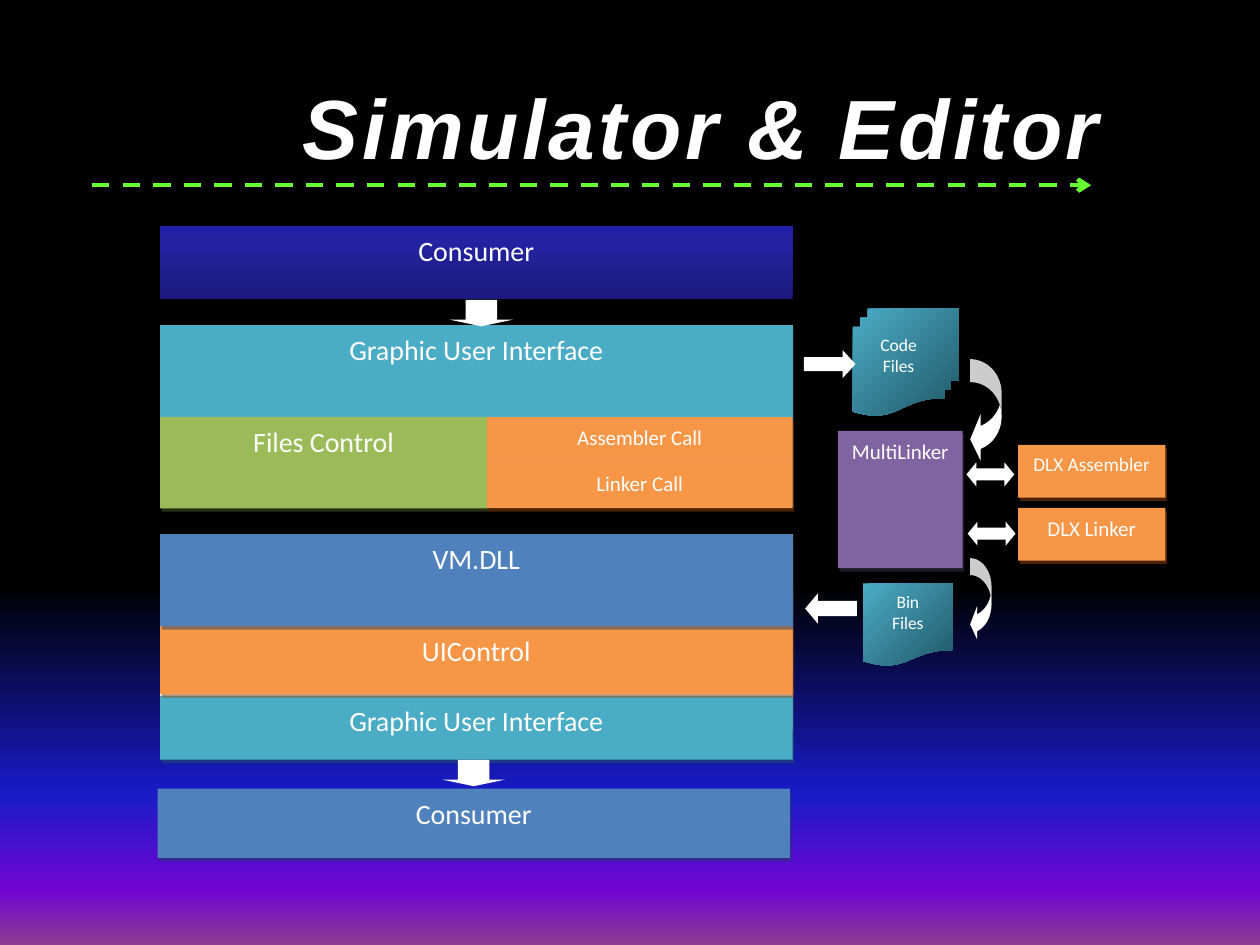
from dataclasses import dataclass

from lxml.etree import SubElement
from pptx import Presentation
from pptx.dml.color import RGBColor
from pptx.enum.dml import MSO_LINE_DASH_STYLE as Dash
from pptx.enum.shapes import MSO_CONNECTOR as Connector, MSO_SHAPE as Shape
from pptx.enum.text import MSO_ANCHOR as Anchor, PP_ALIGN as Align
from pptx.oxml.ns import qn
from pptx.util import Inches, Pt


@dataclass(frozen=True)
class Theme:
    white: str = "FFFFFF"
    green: str = "66FF33"
    teal: tuple = ("4BACC6", "205867")
    olive: tuple = ("9BBB59", "4E6128")
    orange: tuple = ("F79646", "974706")
    purple: tuple = ("8064A2", "3F3151")
    blue: tuple = ("4F81BD", "243F60")
    navy_stops: tuple = ((0, "1B1B7E"), (80, "2323A3"), (100, "2020A6"))
    document_stops: tuple = ((0, "4BACC6"), (100, "205867"))
    sky_stops: tuple = ((0, "000000"), (62, "000000"), (84, "181CC7"),
                        (94, "7005D4"), (100, "8C3D91"))
    title_font: str = "Arial"
    body_font: str = "Calibri"
    title_size: int = 48
    layer_size: int = 16
    module_size: int = 12
    narrow_size: int = 11
    file_size: int = 10


class DiagramSlide:
    COLUMNS, ROWS = 100, 75

    def __init__(self, presentation, theme):
        self.theme = theme
        self.column = presentation.slide_width / self.COLUMNS
        self.row = presentation.slide_height / self.ROWS
        self.slide = presentation.slides.add_slide(presentation.slide_layouts[6])

    def place(self, left, top, width, height):
        return (round(left * self.column), round(top * self.row),
                round(width * self.column), round(height * self.row))

    def gradient(self, fill, root, stops, angle):
        fill.gradient()
        gradient = root.find(".//" + qn("a:gradFill"))
        stop_list = gradient.find(qn("a:gsLst"))
        for old_stop in list(stop_list):
            stop_list.remove(old_stop)
        for position, color in stops:
            stop = SubElement(stop_list, qn("a:gs"), pos=str(position * 1000))
            SubElement(stop, qn("a:srgbClr"), val=color)
        gradient.find(qn("a:lin")).set("ang", str(angle * 60000))

    def background(self, stops):
        self.gradient(self.slide.background.fill, self.slide.element, stops, 90)

    def shadow(self, shape, color, alpha=50, blur=0, distance=2.2, angle=63):
        effects = shape.element.spPr.find(qn("a:effectLst"))
        outer = SubElement(effects, qn("a:outerShdw"), blurRad=str(Pt(blur)),
                           dist=str(Pt(distance)), dir=str(angle * 60000),
                           algn="ctr", rotWithShape="0")
        tint = SubElement(outer, qn("a:srgbClr"), val=color)
        SubElement(tint, qn("a:alpha"), val=str(alpha * 1000))

    def set_text(self, shape, text, size, font):
        frame = shape.text_frame
        frame.text = text
        frame.vertical_anchor = Anchor.TOP
        for paragraph in frame.paragraphs:
            paragraph.alignment = Align.CENTER
            for run in paragraph.runs:
                run.font.name = font
                run.font.size = Pt(size)
                run.font.color.rgb = RGBColor.from_string(self.theme.white)
        return frame

    def shape(self, kind, box, color, adjustments=()):
        shape = self.slide.shapes.add_shape(kind, *self.place(*box))
        shape.shadow.inherit = False
        shape.line.fill.background()
        shape.fill.solid()
        shape.fill.fore_color.rgb = RGBColor.from_string(color)
        for index, value in enumerate(adjustments):
            shape.adjustments[index] = value
        return shape

    def arrow(self, kind, box, *adjustments):
        self.shape(kind, box, self.theme.white, adjustments)

    def label(self, shape, text, size):
        frame = self.set_text(shape, text, size, self.theme.body_font)
        frame.word_wrap = True
        frame.margin_left = frame.margin_right = Inches(0.05)
        frame.margin_top = Inches(0.06)

    def block(self, text, box, colors, size):
        fill, shade = colors
        shape = self.shape(Shape.RECTANGLE, box, fill)
        self.shadow(shape, shade)
        self.label(shape, text, size)

    def graded(self, kind, text, box, stops, angle, size):
        shape = self.shape(kind, box, self.theme.white)
        self.gradient(shape.fill, shape.element.spPr, stops, angle)
        self.label(shape, text, size)
        return shape

    def title(self, text, box):
        shape = self.slide.shapes.add_textbox(*self.place(*box))
        frame = self.set_text(shape, text, self.theme.title_size, self.theme.title_font)
        frame.word_wrap = False
        run = frame.paragraphs[0].runs[0]
        run.font.bold = run.font.italic = True
        run.font._element.set("spc", "200")

    def dashed_arrow(self, left, right, top):
        x1, y, length, _ = self.place(left, top, right - left, 0)
        line = self.slide.shapes.add_connector(Connector.STRAIGHT, x1, y, x1 + length, y)
        line.line.color.rgb = RGBColor.from_string(self.theme.green)
        line.line.width = Pt(2.5)
        line.line.dash_style = Dash.DASH
        SubElement(line.line._get_or_add_ln(), qn("a:tailEnd"), type="arrow")
        SubElement(line.element.spPr, qn("a:effectLst"))


def main():
    presentation = Presentation()
    presentation.slide_width = Inches(10)
    presentation.slide_height = Inches(7.5)
    theme = Theme()
    diagram = DiagramSlide(presentation, theme)
    left, width = 12.7, 50.2
    split = 38.65
    right = left + width

    diagram.background(theme.sky_stops)
    diagram.dashed_arrow(7.3, 86.6, 14.7)
    diagram.title("Simulator & Editor ", (22.8, 5.5, 67.9, 9.1))

    for top, height in ((42.4, 15.6), (25.8, 14.5)):
        diagram.shape(Shape.RECTANGLE, (left, top, width, height), theme.white)

    consumer = diagram.graded(Shape.RECTANGLE, "Consumer", (left, 17.9, width, 5.8),
                              theme.navy_stops, 270, theme.layer_size)
    diagram.shadow(consumer, "000000", 35, 3.1, 1.8, 90)

    layers = (
        ("Graphic User Interface", left, 25.8, width, 7.3, theme.teal),
        ("Files Control", left, 33.1, split - left, 7.25, theme.olive),
        ("Graphic User Interface", left, 55.2, width, 5.1, theme.teal),
        ("UIControl", left, 49.7, width, 5.4, theme.orange),
        ("VM.DLL", left, 42.4, width, 7.3, theme.blue),
        ("Consumer", 12.5, 62.6, width, 5.5, theme.blue),
    )
    for text, *box, colors in layers:
        diagram.block(text, box, colors, theme.layer_size)

    for index, text in enumerate(("Assembler Call", "Linker Call")):
        box = (split, 33.1 + 3.62 * index, right - split, 3.62)
        diagram.block(text, box, theme.orange, theme.module_size)

    diagram.block("MultiLinker", (66.5, 34.2, 9.9, 10.9), theme.purple, theme.module_size)
    tools = (("DLX Assembler", theme.narrow_size), ("DLX Linker", theme.module_size))
    for index, (text, size) in enumerate(tools):
        diagram.block(text, (80.8, 35.3 + 5 * index, 11.7, 4.2), theme.orange, size)

    documents = (
        (Shape.FLOWCHART_MULTIDOCUMENT, "Code\nFiles", (67.7, 24.5, 8.4, 8.5)),
        (Shape.FLOWCHART_DOCUMENT, "Bin\nFiles", (68.5, 46.3, 7.1, 6.6)),
    )
    for kind, text, box in documents:
        diagram.graded(kind, text, box, theme.document_stops, 45, theme.file_size)

    for arrow_left, top in ((35.7, 23.8), (35.1, 60.3)):
        diagram.arrow(Shape.DOWN_ARROW, (arrow_left, top, 5, 2.1), 0.5, 0.25)
    for arrow_left, top in ((76.7, 36.7), (76.8, 41.4)):
        diagram.arrow(Shape.LEFT_RIGHT_ARROW, (arrow_left, top, 3.8, 1.9), 0.5, 0.41)
    diagram.arrow(Shape.RIGHT_ARROW, (63.8, 27.8, 4.1, 2.2), 0.5, 0.46)
    diagram.arrow(Shape.LEFT_ARROW, (63.9, 47.1, 4.1, 2.4), 0.5, 0.42)
    diagram.arrow(Shape.CURVED_LEFT_ARROW, (77, 28.5, 2.5, 8.2), 0.73, 1.47, 0.33)
    diagram.arrow(Shape.CURVED_LEFT_ARROW, (77, 44.3, 1.7, 6.6), 0.79, 1.58, 0.33)

    presentation.save("out.pptx")


if __name__ == "__main__":
    main()
